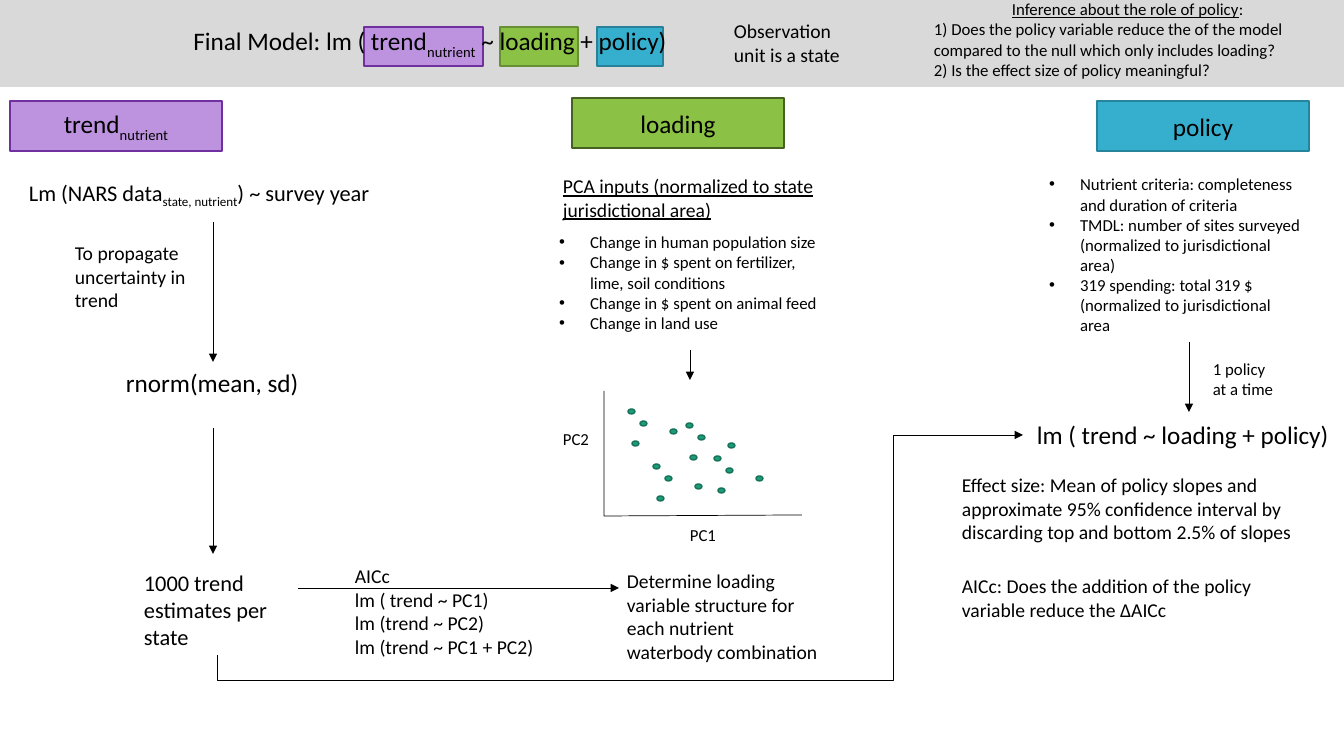
"""Build the slide that explains the final trend, loading and policy model."""
import itertools
from dataclasses import dataclass

import pptx
import pptx.dml.color
import pptx.enum.shapes
import pptx.enum.text
import pptx.oxml
import pptx.oxml.ns
import pptx.util

RGBColor = pptx.dml.color.RGBColor
Shapes = pptx.enum.shapes.MSO_SHAPE
Connectors = pptx.enum.shapes.MSO_CONNECTOR
Align = pptx.enum.text.PP_ALIGN
Anchor = pptx.enum.text.MSO_ANCHOR
qn = pptx.oxml.ns.qn

EMU_PER_PIXEL = 914400 / 100.8
LIST_INDENT = 31
FONT = "Calibri"
BLACK = RGBColor(0x00, 0x00, 0x00)
BANNER_GREY = RGBColor(0xD9, 0xD9, 0xD9)
TREND_FILL = RGBColor(0xBD, 0x92, 0xDE)
TREND_LINE = RGBColor(0x70, 0x30, 0xA0)
LOADING_FILL = RGBColor(0x8B, 0xC1, 0x45)
LOADING_LINE = RGBColor(0x67, 0x8F, 0x33)
LOADING_DARK = RGBColor(0x46, 0x62, 0x21)
POLICY_FILL = RGBColor(0x36, 0xAF, 0xCE)
POLICY_LINE = RGBColor(0x28, 0x81, 0x98)
POLICY_DARK = RGBColor(0x26, 0x85, 0x9D)
SCORE_FILL = RGBColor(0x1D, 0x9A, 0x78)
SCORE_LINE = RGBColor(0x15, 0x72, 0x59)


@dataclass(frozen=True)
class Span:
    """A stretch of text with its own format."""
    text: str
    subscript: bool = False
    underline: bool = False


@dataclass(frozen=True)
class Frame:
    """A rectangle in pixels."""
    left: int
    top: int
    width: int
    height: int

    def emu(self) -> tuple:
        """Return the rectangle in EMU."""
        return tuple(map(px, (self.left, self.top, self.width, self.height)))


@dataclass(frozen=True)
class Box:
    """A coloured rectangle with an optional label."""
    frame: Frame
    fill: RGBColor
    line: RGBColor
    label: tuple = ()


@dataclass(frozen=True)
class Note:
    """A plain text box."""
    frame: Frame
    paragraphs: tuple
    size: int


def px(pixels: float) -> int:
    """Turn pixels into EMU."""
    return pptx.util.Emu(round(pixels * EMU_PER_PIXEL))


def write(shape, paragraphs, *, size, align=Align.LEFT, anchor=Anchor.TOP, bulleted=False) -> None:
    """Fill a shape with paragraphs, each a string or a tuple of spans."""
    frame = shape.text_frame
    frame.word_wrap = True
    frame.auto_size = pptx.enum.text.MSO_AUTO_SIZE.NONE
    frame.vertical_anchor = anchor
    for index, content in enumerate(paragraphs):
        paragraph = frame.add_paragraph() if index else frame.paragraphs[0]
        paragraph.alignment = align
        paragraph.space_before = pptx.util.Pt(0)
        if bulleted:
            properties = paragraph._p.get_or_add_pPr()
            properties.set("marL", str(px(LIST_INDENT)))
            properties.set("indent", str(-px(LIST_INDENT)))
            bullet = pptx.oxml.parse_xml(f'<a:buChar {pptx.oxml.ns.nsdecls("a")} char="•"/>')
            properties.append(bullet)
        for span in (Span(content),) if isinstance(content, str) else content:
            run = paragraph.add_run()
            run.text = span.text
            run.font.name = FONT
            run.font.size = pptx.util.Pt(size)
            run.font.color.rgb = BLACK
            run.font.underline = span.underline
            if span.subscript:
                run._r.get_or_add_rPr().set("baseline", "-25000")


def draw_shape(slide, kind, frame: Frame, fill: RGBColor, line=None):
    """Draw a flat preset shape."""
    shape = slide.shapes.add_shape(kind, *frame.emu())
    shape.shadow.inherit = False
    shape.fill.solid()
    shape.fill.fore_color.rgb = fill
    if line is None:
        shape.line.fill.background()
    else:
        shape.line.color.rgb = line
        shape.line.width = pptx.util.Pt(1)
    return shape


def draw_box(slide, box: Box) -> None:
    """Draw a coloured rectangle and its centred label."""
    shape = draw_shape(slide, Shapes.RECTANGLE, box.frame, box.fill, box.line)
    if box.label:
        write(shape, [box.label], size=18, align=Align.CENTER, anchor=Anchor.MIDDLE)


def draw_note(slide, note: Note) -> None:
    """Draw a plain text box."""
    write(slide.shapes.add_textbox(*note.frame.emu()), note.paragraphs, size=note.size)


def draw_arrow(slide, start, end, kind=Connectors.STRAIGHT):
    """Draw a thin arrow between two points."""
    arrow = slide.shapes.add_connector(kind, *map(px, (*start, *end)))
    arrow.line.color.rgb = BLACK
    arrow.line.width = pptx.util.Pt(0.5)
    line = arrow.line._get_or_add_ln()
    line.append(line.makeelement(qn("a:tailEnd"), {"type": "triangle"}))
    properties = arrow._element.spPr
    properties.append(properties.makeelement(qn("a:effectLst"), {}))
    return arrow


def draw_feedback_arrow(slide) -> None:
    """Draw the bent arrow from the trend estimates to the policy model."""
    properties = draw_arrow(slide, (730, 948), (510, 142), Connectors.ELBOW)._element.spPr
    properties.find(qn("a:xfrm")).set("rot", "5400000")
    geometry = properties.find(qn("a:prstGeom"))
    geometry.set("prst", "bentConnector4")
    guides = geometry.get_or_add_avLst()
    for name, value in (("adj1", -11400), ("adj2", 83900)):
        guides.append(guides.makeelement(qn("a:gd"), {"name": name, "fmla": f"val {value}"}))


def draw_scores(slide) -> None:
    """Draw the PCA axes and four repeats of a four-point cluster."""
    outline = slide.shapes.build_freeform(604, 391, scale=EMU_PER_PIXEL)
    outline.add_line_segments([(604, 516), (802, 515)], close=False)
    axes = outline.convert_to_shape()
    axes.shadow.inherit = False
    axes.fill.background()
    axes.line.color.rgb = BLACK
    axes.line.width = pptx.util.Pt(0.5)
    clusters = ((628, 409), (686, 423), (653, 464), (714, 456))
    offsets = ((0, 0), (4, 32), (42, 20), (12, 12))
    for (left, top), (right, down) in itertools.product(clusters, offsets):
        frame = Frame(left + right, top + down, 7, 5)
        draw_shape(slide, Shapes.OVAL, frame, SCORE_FILL, SCORE_LINE)


TREND = (Span("trend"), Span("nutrient", subscript=True))
BOXES = (
    Box(Frame(500, 27, 78, 39), LOADING_FILL, LOADING_LINE),
    Box(Frame(597, 27, 66, 39), POLICY_FILL, POLICY_LINE),
    Box(Frame(364, 27, 119, 39), TREND_FILL, TREND_LINE),
    Box(Frame(10, 101, 212, 50), TREND_FILL, TREND_LINE, TREND),
    Box(Frame(1097, 101, 212, 50), POLICY_FILL, POLICY_DARK, (Span("policy"),)),
    Box(Frame(572, 98, 212, 50), LOADING_FILL, LOADING_DARK, (Span("loading"),)),
)
NARS_MODEL = (Span("Lm (NARS data"), Span("state, nutrient", subscript=True), Span(") ~ survey year"))
PCA_HEADING = (Span("PCA inputs (normalized to state jurisdictional area)", underline=True),)
NOTES = (
    Note(Frame(19, 174, 458, 37), (NARS_MODEL,), 16),
    Note(Frame(553, 169, 296, 57), (PCA_HEADING,), 14),
    Note(Frame(724, 14, 136, 57), ("Observation unit is a state",), 14),
    Note(Frame(553, 424, 48, 30), ("PC2",), 12),
    Note(Frame(680, 520, 48, 30), ("PC1",), 12),
    Note(Frame(116, 362, 254, 40), ("rnorm(mean, sd)",), 18),
    Note(Frame(65, 236, 151, 82), ("To propagate uncertainty in trend",), 14),
    Note(Frame(134, 564, 164, 92), ("1000 trend estimates per state",), 16),
    Note(Frame(345, 559, 273, 105), ("AICc", "lm ( trend ~ PC1)", "lm (trend ~ PC2)", "lm (trend ~ PC1 + PC2)"), 14),
    Note(Frame(617, 564, 214, 105),
         ("Determine loading variable structure for each nutrient waterbody combination",), 14),
    Note(Frame(1027, 414, 319, 40), ("lm ( trend ~ loading + policy)",), 18),
    Note(Frame(1203, 354, 85, 50), ("1 policy at a time",), 12),
    Note(Frame(952, 468, 366, 82), ("Effect size: Mean of policy slopes and approximate 95% confidence "
                                    "interval by discarding top and bottom 2.5% of slopes",), 14),
    Note(Frame(952, 569, 366, 57), ("AICc: Does the addition of the policy variable reduce the ΔAICc",), 14),
)
LISTS = (
    Note(Frame(549, 227, 281, 112), (
        "Change in human population size", "Change in $ spent on fertilizer, lime, soil conditions",
        "Change in $ spent on animal feed", "Change in land use"), 12),
    Note(Frame(1039, 169, 273, 173), (
        "Nutrient criteria: completeness and duration of criteria",
        "TMDL: number of sites surveyed (normalized to jurisdictional area)",
        "319 spending: total 319 $ (normalized to jurisdictional area"), 12),
)
ARROWS = (
    ((213, 222), (213, 362)), ((213, 428), (213, 554)), ((690, 350), (690, 380)),
    ((298, 588), (619, 588)), ((1189, 342), (1189, 412)),
)


def main() -> None:
    """Build and save the slide."""
    deck = pptx.Presentation()
    deck.slide_width, deck.slide_height = px(1344), px(756)
    slide = deck.slides.add_slide(deck.slide_layouts.get_by_name("Two Content"))
    model, *variable_lists = slide.placeholders
    draw_shape(slide, Shapes.RECTANGLE, Frame(0, 0, 1344, 87), BANNER_GREY)
    for box in BOXES:
        draw_box(slide, box)
    slide.shapes._spTree.append(model._element)
    model.left, model.top, model.width, model.height = Frame(62, 11, 736, 64).emu()
    formula = (Span("Final Model: lm ( trend"), TREND[1], Span(" ~ loading + policy)"))
    write(model, [formula], size=18, align=Align.CENTER, anchor=Anchor.MIDDLE)
    for variables, item in zip(variable_lists, LISTS):
        variables.left, variables.top, variables.width, variables.height = item.frame.emu()
        write(variables, item.paragraphs, size=item.size, bulleted=True)
    inference = slide.shapes.add_textbox(*Frame(924, -6, 411, 92).emu())
    question = (Span("Inference about the role of policy", underline=True), Span(": "))
    write(inference, (
        question, "1) Does the policy variable reduce the of the model compared to the null which only includes loading?",
        "2) Is the effect size of policy meaningful? "), size=12)
    inference.text_frame.paragraphs[0].alignment = Align.CENTER
    for note in NOTES:
        draw_note(slide, note)
    draw_scores(slide)
    for start, end in ARROWS:
        draw_arrow(slide, start, end)
    draw_feedback_arrow(slide)
    deck.save("out.pptx")


main()
